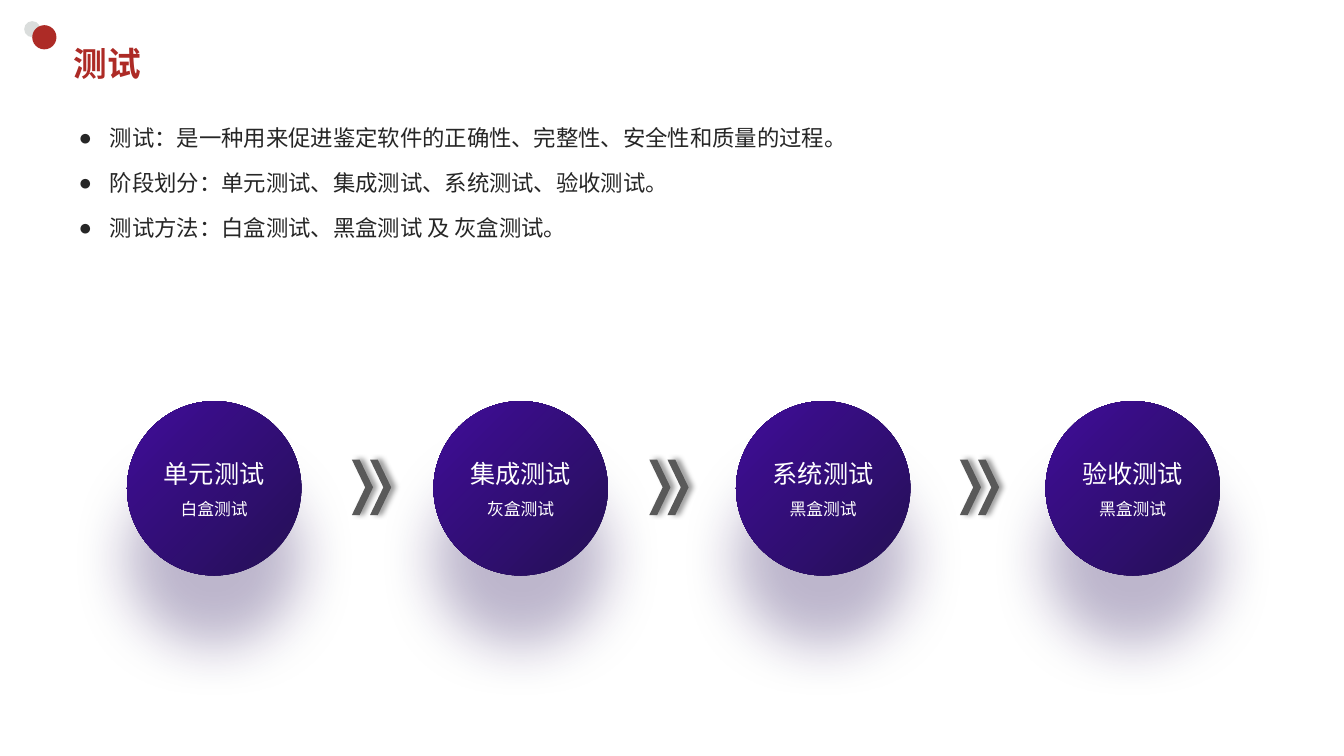
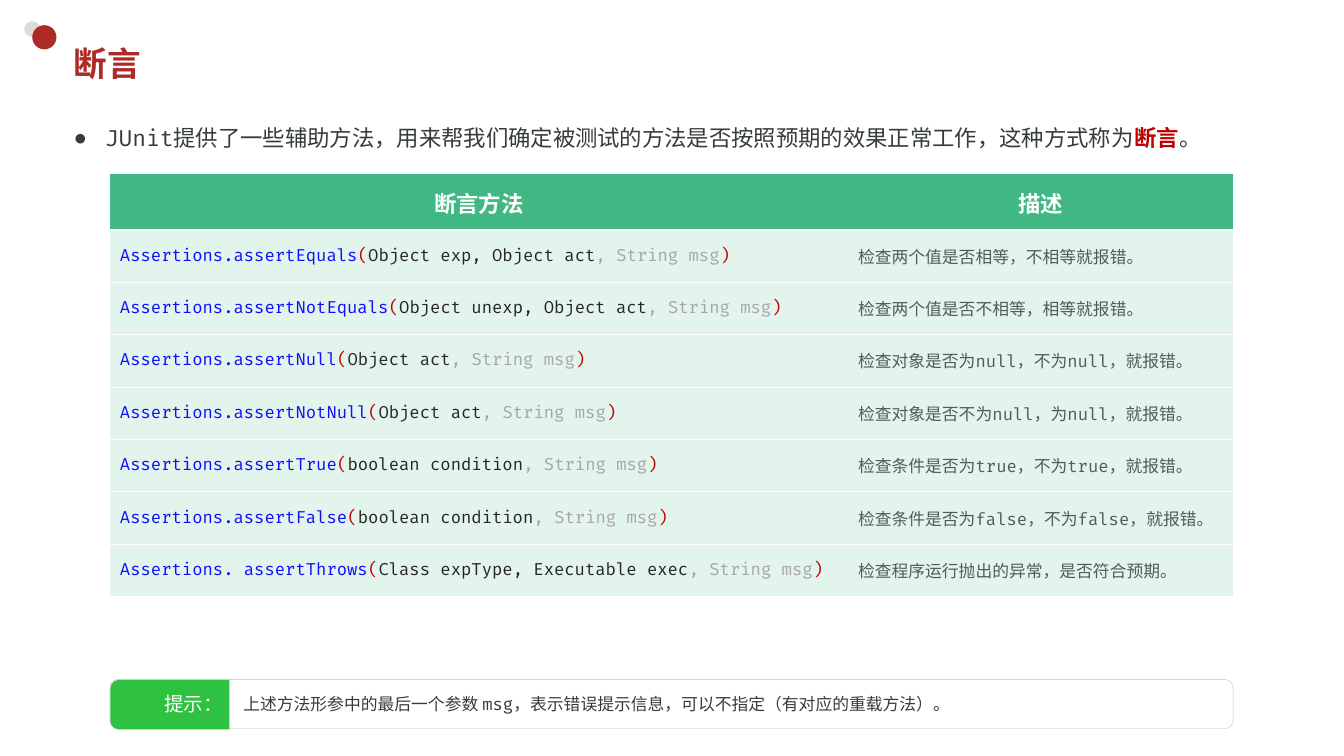
"""Build two slides on software testing and assertion methods."""
from lxml.etree import SubElement
from pptx import Presentation
from pptx.dml.color import RGBColor
from pptx.enum.shapes import MSO_SHAPE
from pptx.enum.text import MSO_ANCHOR, MSO_AUTO_SIZE, PP_ALIGN
from pptx.oxml.ns import qn
from pptx.util import Inches, Pt

RED = RGBColor(0xAD, 0x2B, 0x26)
SILVER = RGBColor(0xDA, 0xDD, 0xDC)
WHITE = RGBColor(0xFF, 0xFF, 0xFF)
INK = RGBColor(0x26, 0x26, 0x26)
SLATE = RGBColor(0x36, 0x3C, 0x3B)
STONE = RGBColor(0x52, 0x5B, 0x5A)
CRIMSON = RGBColor(0xC0, 0x00, 0x00)
BLUE = RGBColor(0x0E, 0x0E, 0xFF)
PALE_GRAY = RGBColor(0xA6, 0xA6, 0xA6)
BORDER_GRAY = RGBColor(0xBF, 0xBF, 0xBF)
ARROW_GRAY = RGBColor(0x59, 0x59, 0x59)
BLACK = RGBColor(0x00, 0x00, 0x00)
PURPLE_DARK = RGBColor(0x26, 0x10, 0x59)
PURPLE = RGBColor(0x40, 0x0C, 0x99)
HEADER_GREEN = RGBColor(0x41, 0xB8, 0x83)
ROW_GREEN = RGBColor(0xE3, 0xF4, 0xEC)
TIP_GREEN = RGBColor(0x2F, 0xC1, 0x41)

TITLE_FONT = "Noto Sans Mono"
CJK_FONT = "Noto Sans CJK JP"
CODE_FONT = "Fira Code"
STAGE_FONT = "Roboto"

STAGES = [
    (1.26, "单元测试", "白盒测试"),
    (4.3, "集成测试", "灰盒测试"),
    (7.3, "系统测试", "黑盒测试"),
    (10.37, "验收测试", "黑盒测试"),
]
ARROW_LEFTS = [3.49, 6.44, 9.52]

TEST_POINTS = [
    "测试：是一种用来促进鉴定软件的正确性、完整性、安全性和质量的过程。",
    "阶段划分：单元测试、集成测试、系统测试、验收测试。",
    "测试方法：白盒测试、黑盒测试 及 灰盒测试。",
]
ASSERTIONS = [
    ("Assertions.assertEquals", "Object exp, Object act", "检查两个值是否相等，不相等就报错。"),
    ("Assertions.assertNotEquals", "Object unexp, Object act", "检查两个值是否不相等，相等就报错。"),
    ("Assertions.assertNull", "Object act", "检查对象是否为null，不为null，就报错。"),
    ("Assertions.assertNotNull", "Object act", "检查对象是否不为null，为null，就报错。"),
    ("Assertions.assertTrue", "boolean condition", "检查条件是否为true，不为true，就报错。"),
    ("Assertions.assertFalse", "boolean condition", "检查条件是否为false，不为false，就报错。"),
    ("Assertions. assertThrows", "Class expType, Executable exec", "检查程序运行抛出的异常，是否符合预期。"),
]


def inches(*values):
    """Convert several numbers to lengths."""
    return [Inches(v) for v in values]


def style(p, size, name, color=None, bold=False):
    """Set the font of a whole paragraph."""
    p.font.size = Pt(size)
    p.font.name = name
    p.font.bold = bold
    if color is not None:
        p.font.color.rgb = color


def add_runs(p, runs):
    """Add runs given as (text, color) or (text, color, bold)."""
    for text, color, *bold in runs:
        r = p.add_run()
        r.text = text
        r.font.color.rgb = color
        if bold:
            r.font.bold = bold[0]


def add_shape(shapes, kind, box, fill=None, line=None):
    """Add a preset shape without theme effects."""
    sp = shapes.add_shape(kind, *inches(*box))
    sp.shadow.inherit = False
    if fill is None:
        sp.fill.background()
    else:
        sp.fill.solid()
        sp.fill.fore_color.rgb = fill
    if line is None:
        sp.line.fill.background()
    else:
        sp.line.color.rgb = line
        sp.line.width = Pt(0.25)
    return sp


def add_shadow(sp, color, alpha, blur, distance, angle):
    """Give a shape an outer shadow."""
    effects = sp.element.spPr.find(qn("a:effectLst"))
    shadow = SubElement(effects, qn("a:outerShdw"), blurRad=str(Pt(blur)), dist=str(Pt(distance)),
                        dir=str(angle * 60000), algn="ctr", rotWithShape="0")
    clr = SubElement(shadow, qn("a:srgbClr"), val=str(color))
    SubElement(clr, qn("a:alpha"), val=str(alpha * 1000))


def add_slide(prs, title):
    """Add a slide with the corner dots and a styled title."""
    s = prs.slides.add_slide(prs.slide_layouts[1])
    add_shape(s.shapes, MSO_SHAPE.OVAL, (0.24, 0.21, 0.16, 0.16), SILVER)
    add_shape(s.shapes, MSO_SHAPE.OVAL, (0.32, 0.25, 0.24, 0.24), RED)
    sp = s.shapes.title
    sp.left, sp.top, sp.width, sp.height = inches(0.63, 0.37, 11.75, 0.52)
    tf = sp.text_frame
    tf.text = title
    tf.auto_size = MSO_AUTO_SIZE.NONE
    tf.vertical_anchor = MSO_ANCHOR.MIDDLE
    p = tf.paragraphs[0]
    p.alignment = PP_ALIGN.LEFT
    style(p, 24, TITLE_FONT, RED, True)
    return s


def fill_bullets(s, box, items, font):
    """Fill the body placeholder with bulleted lists of runs."""
    sp = s.placeholders[1]
    sp.left, sp.top, sp.width, sp.height = inches(*box)
    tf = sp.text_frame
    tf.auto_size = MSO_AUTO_SIZE.NONE
    tf.vertical_anchor = MSO_ANCHOR.TOP
    for i, runs in enumerate(items):
        p = tf.add_paragraph() if i else tf.paragraphs[0]
        props = p._p.get_or_add_pPr()
        props.set("marL", str(Inches(0.31)))
        props.set("indent", str(Inches(-0.31)))
        SubElement(props, qn("a:buFont"), typeface="Arial")
        SubElement(props, qn("a:buChar"), char="●")
        p.line_spacing = Pt(29)
        p.space_before = Pt(3 if i else 0)
        style(p, 16, font)
        add_runs(p, runs)


def add_stage(s, left, name, method):
    """Add a gradient circle naming a test stage and its method."""
    sp = add_shape(s.shapes, MSO_SHAPE.FLOWCHART_CONNECTOR, (left, 3.98, 1.73, 1.73))
    sp.fill.gradient()
    sp.fill.gradient_angle = 135
    stops = [(0.07, PURPLE_DARK), (1, PURPLE)]
    for stop, (position, color) in zip(sp.fill.gradient_stops, stops):
        stop.position = position
        stop.color.rgb = color
    add_shadow(sp, PURPLE_DARK, 30, 40, 50, 90)
    tf = sp.text_frame
    tf.vertical_anchor = MSO_ANCHOR.MIDDLE
    p = tf.paragraphs[0]
    p.text = name
    p.alignment = PP_ALIGN.CENTER
    style(p, 18, STAGE_FONT, WHITE)
    p = tf.add_paragraph()
    p.text = method
    p.alignment = PP_ALIGN.CENTER
    p.line_spacing = 1.5
    style(p, 12, CJK_FONT, WHITE)


def add_double_arrow(s, left):
    """Add a grouped pair of chevrons."""
    group = s.shapes.add_group_shape()
    for x in (left, left + 0.18):
        sp = add_shape(group.shapes, MSO_SHAPE.CHEVRON, (x, 4.56, 0.21, 0.55), ARROW_GRAY)
        sp.adjustments[0] = 0.632
        add_shadow(sp, BLACK, 40, 4, 3, 0)


def set_borders(cell, top, bottom):
    """Draw white horizontal borders of the given widths and no vertical ones."""
    props = cell._tc.get_or_add_tcPr()
    for tag in ("a:lnL", "a:lnR"):
        SubElement(SubElement(props, qn(tag), w="0"), qn("a:noFill"))
    for tag, width in (("a:lnT", top), ("a:lnB", bottom)):
        ln = SubElement(props, qn(tag), w=str(Pt(width)))
        fill = SubElement(ln, qn("a:solidFill"))
        SubElement(fill, qn("a:srgbClr"), val=str(WHITE))


def fill_cell(cell, runs, header=False, first=False):
    """Format a table cell and write its runs."""
    set_borders(cell, 1.5 if first else 0.75, 1.5 if header else 0.75)
    cell.fill.solid()
    cell.fill.fore_color.rgb = HEADER_GREEN if header else ROW_GREEN
    cell.vertical_anchor = MSO_ANCHOR.MIDDLE
    p = cell.text_frame.paragraphs[0]
    if header:
        p.alignment = PP_ALIGN.CENTER
        p.line_spacing = Pt(24)
    style(p, 16 if header else 12, CODE_FONT, bold=header)
    add_runs(p, [(*run, header) for run in runs])


def add_assertion_table(s):
    """Add the table of assertion methods."""
    frame = s.shapes.add_table(len(ASSERTIONS) + 1, 2, *inches(1.09, 1.72, 11.14, 4.2))
    table = frame.table
    for column, width in zip(table.columns, (7.32, 3.82)):
        column.width = Inches(width)
    for i, row in enumerate(table.rows):
        row.height = Inches(0.52 if i else 0.56)
    for col, heading in enumerate(("断言方法", "描述")):
        fill_cell(table.cell(0, col), [(heading, WHITE)], header=True)
    for i, (method, params, note) in enumerate(ASSERTIONS, 1):
        signature = [(method, BLUE), ("(", CRIMSON), (params, INK),
                     (", String msg", PALE_GRAY), (")", CRIMSON)]
        fill_cell(table.cell(i, 0), signature, first=i == 1)
        fill_cell(table.cell(i, 1), [(note, STONE)], first=i == 1)


def add_tip(s, label, text):
    """Add the tip bar with its green label."""
    shapes = s.shapes.add_group_shape().shapes
    bar = add_shape(shapes, MSO_SHAPE.ROUNDED_RECTANGLE, (1.09, 6.74, 11.14, 0.49), line=BORDER_GRAY)
    tab = add_shape(shapes, MSO_SHAPE.ROUND_2_SAME_RECTANGLE, (1.44, 6.4, 0.49, 1.18), TIP_GREEN)
    tab.rotation = 270
    box = shapes.add_textbox(*inches(1.53, 6.81, 0.9, 0.34))
    bar.text_frame.margin_left = Inches(1.3)
    for sp, words, size, font, color in ((bar, text, 12, CODE_FONT, SLATE),
                                         (box, label, 14, CJK_FONT, WHITE)):
        tf = sp.text_frame
        tf.word_wrap = True
        tf.vertical_anchor = MSO_ANCHOR.MIDDLE
        p = tf.paragraphs[0]
        p.text = words
        p.alignment = PP_ALIGN.LEFT
        style(p, size, font, color)


def build_testing(prs):
    """Build the slide on testing stages."""
    s = add_slide(prs, "测试")
    fill_bullets(s, (0.68, 1.05, 11.7, 1.32), [[(text, INK)] for text in TEST_POINTS], CJK_FONT)
    for stage in STAGES:
        add_stage(s, *stage)
    for left in ARROW_LEFTS:
        add_double_arrow(s, left)


def build_assertions(prs):
    """Build the slide on assertion methods."""
    s = add_slide(prs, "断言")
    intro = [
        ("JUnit提供了一些辅助方法，用来帮我们确定被测试的方法是否按照预期的效果正常工作，这种方式称为", SLATE),
        ("断言", CRIMSON, True),
        ("。", SLATE),
    ]
    fill_bullets(s, (0.63, 1.05, 12.1, 0.52), [intro], CODE_FONT)
    add_assertion_table(s)
    add_tip(s, "提示：", "上述方法形参中的最后一个参数 msg，表示错误提示信息，可以不指定（有对应的重载方法）。")


def main():
    """Build and save the presentation."""
    prs = Presentation()
    prs.slide_width, prs.slide_height = inches(13.33, 7.5)
    build_testing(prs)
    build_assertions(prs)
    prs.save("out.pptx")


if __name__ == "__main__":
    main()
